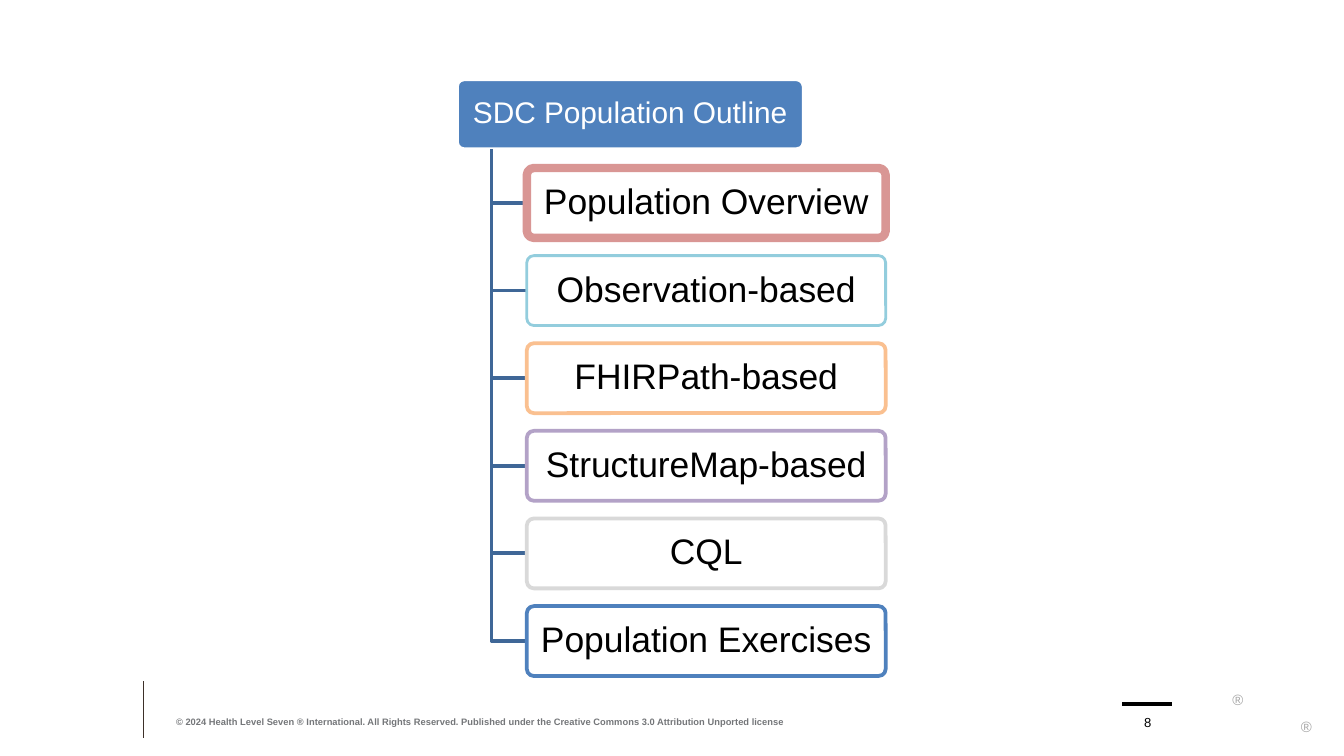
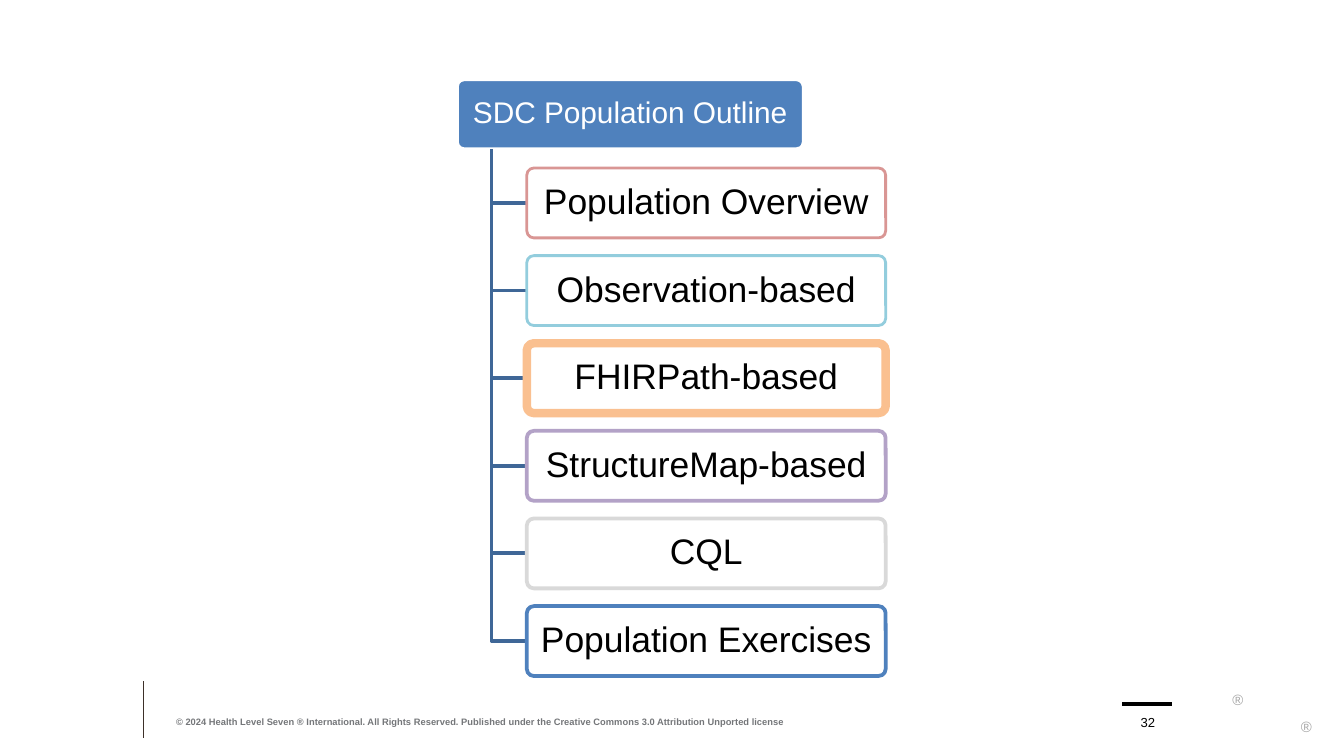
from lxml import etree
from pptx import Presentation
from pptx.dml.color import RGBColor
from pptx.enum.shapes import MSO_CONNECTOR as CONNECTOR, MSO_SHAPE as SHAPE
from pptx.enum.text import MSO_ANCHOR as ANCHOR, PP_ALIGN as ALIGN
from pptx.oxml.ns import qn
from pptx.util import Inches, Pt

FONT = "Arial"
WHITE = RGBColor(0xFF, 0xFF, 0xFF)
BLACK = RGBColor(0x00, 0x00, 0x00)
BLUE = RGBColor(0x4F, 0x81, 0xBD)
DARK_BLUE = RGBColor(0x3F, 0x67, 0x97)
ROSE = RGBColor(0xD9, 0x96, 0x94)
AQUA = RGBColor(0x93, 0xCD, 0xDD)
ORANGE = RGBColor(0xFA, 0xC0, 0x90)
PURPLE = RGBColor(0xB3, 0xA2, 0xC7)
LIGHT_GRAY = RGBColor(0xD9, 0xD9, 0xD9)
MARK_GRAY = RGBColor(0xA6, 0xA6, 0xA6)
FOOTER_GRAY = RGBColor(0x74, 0x76, 0x79)
RULE_BROWN = RGBColor(0x3D, 0x30, 0x29)

OUTLINE_TITLE = "SDC Population Outline"
TOPICS = [  # name, border colour, border width
    ("Population Overview", ROSE, 1.5),
    ("Observation-based", AQUA, 1.5),
    ("FHIRPath-based", ORANGE, 2),
    ("StructureMap-based", PURPLE, 2),
    ("CQL", LIGHT_GRAY, 2),
    ("Population Exercises", BLUE, 2),
]
CURRENT_WIDTH = 4.5
COPYRIGHT = (
    "© 2024 Health Level Seven ® International. All Rights Reserved. "
    "Published under the Creative Commons 3.0 Attribution Unported license"
)
SLIDES = [("8", "Population Overview"), ("32", "FHIRPath-based")]


def write_text(shape, text, size, color, align=ALIGN.LEFT, anchor=ANCHOR.BOTTOM,
               insets=(0, 0, 0, 0), bold=False, wrap=True):
    frame = shape.text_frame
    frame.word_wrap = wrap
    frame.vertical_anchor = anchor
    (frame.margin_left, frame.margin_top,
     frame.margin_right, frame.margin_bottom) = map(Inches, insets)
    paragraph = frame.paragraphs[0]
    paragraph.text = text
    paragraph.alignment = align
    font = paragraph.font
    font.name, font.size, font.bold = FONT, Pt(size), bold
    font.color.rgb = color
    return paragraph


def add_label(slide, box, text, size, color, **style):
    write_text(slide.shapes.add_textbox(*map(Inches, box)), text, size, color, **style)


def add_rule(slide, start, end, color, width):
    rule = slide.shapes.add_connector(CONNECTOR.STRAIGHT, *map(Inches, start + end))
    rule.line.color.rgb = color
    rule.line.width = Pt(width)
    etree.SubElement(rule._element.spPr, qn("a:effectLst"))


def add_footer(slide, number):
    add_rule(slide, (1.07, 5.07), (1.07, 5.49), RULE_BROWN, 0.5)
    for left, top in ((9.16, 5.1), (9.67, 5.3)):
        add_label(slide, (left, top, 0.11, 0.09), "®", 8, MARK_GRAY,
                  anchor=ANCHOR.TOP, insets=(0.01, 0.04, 0, 0), wrap=False)
    add_rule(slide, (8.35, 5.24), (8.72, 5.24), BLACK, 2)
    add_label(slide, (1.31, 5.24, 4.95, 0.17), COPYRIGHT, 5, FOOTER_GRAY, bold=True)
    add_label(slide, (8.39, 5.24, 0.3, 0.19), number, 7, BLACK, align=ALIGN.CENTER)


def add_node(slide, box, text, size, text_color, fill, border, border_width):
    node = slide.shapes.add_shape(SHAPE.ROUNDED_RECTANGLE, *map(Inches, box))
    node.adjustments[0] = 0.1
    node.shadow.inherit = False
    node.fill.solid()
    node.fill.fore_color.rgb = fill
    node.line.color.rgb = border
    node.line.width = Pt(border_width)
    paragraph = write_text(node, text, size, text_color, ALIGN.CENTER, ANCHOR.MIDDLE,
                           (0.05, 0.04, 0.05, 0.04))
    paragraph.line_spacing = 0.9
    return node


def make_translucent(shape, percent):
    color = shape._element.spPr.find(qn("a:solidFill"))[0]
    etree.SubElement(color, qn("a:alpha"), val=str(percent * 1000))


def add_branch(slide, left, top, right, bottom):
    """Draw an elbow down from the root and across to a topic."""
    left, top, right, bottom = map(Inches, (left, top, right, bottom))
    builder = slide.shapes.build_freeform(left, top)
    builder.add_line_segments([(left, bottom), (right, bottom)], close=False)
    branch = builder.convert_to_shape()
    branch.shadow.inherit = False
    branch.fill.background()
    branch.line.color.rgb = DARK_BLUE
    branch.line.width = Pt(2)


def add_outline(slide, box, current):
    """Draw the outline tree with a heavy border on the current topic."""
    left, top, width, height = box
    node_height = 0.52
    root_width, topic_width = 2.58, 2.67
    topic_left = left + width - topic_width
    first_top = top + 0.66
    pitch = (top + height - node_height - first_top) / (len(TOPICS) - 1)
    add_node(slide, (left, top, root_width, node_height), OUTLINE_TITLE, 16, WHITE,
             BLUE, WHITE, 2)
    for index, (name, color, border_width) in enumerate(TOPICS):
        topic_top = first_top + index * pitch
        add_branch(slide, left + root_width / 10, top + node_height,
                   topic_left, topic_top + node_height / 2)
        topic = add_node(slide, (topic_left, topic_top, topic_width, node_height),
                         name, 19, BLACK, WHITE, color,
                         CURRENT_WIDTH if name == current else border_width)
        make_translucent(topic, 90)


def main():
    presentation = Presentation()
    presentation.slide_width = Inches(10)
    presentation.slide_height = presentation.slide_width * 9 // 16
    blank_layout = presentation.slide_layouts[6]
    for number, current in SLIDES:
        slide = presentation.slides.add_slide(blank_layout)
        add_footer(slide, number)
        add_outline(slide, (3.4, 0.59, 3.19, 4.44), current)
    presentation.save("out.pptx")


if __name__ == "__main__":
    main()
